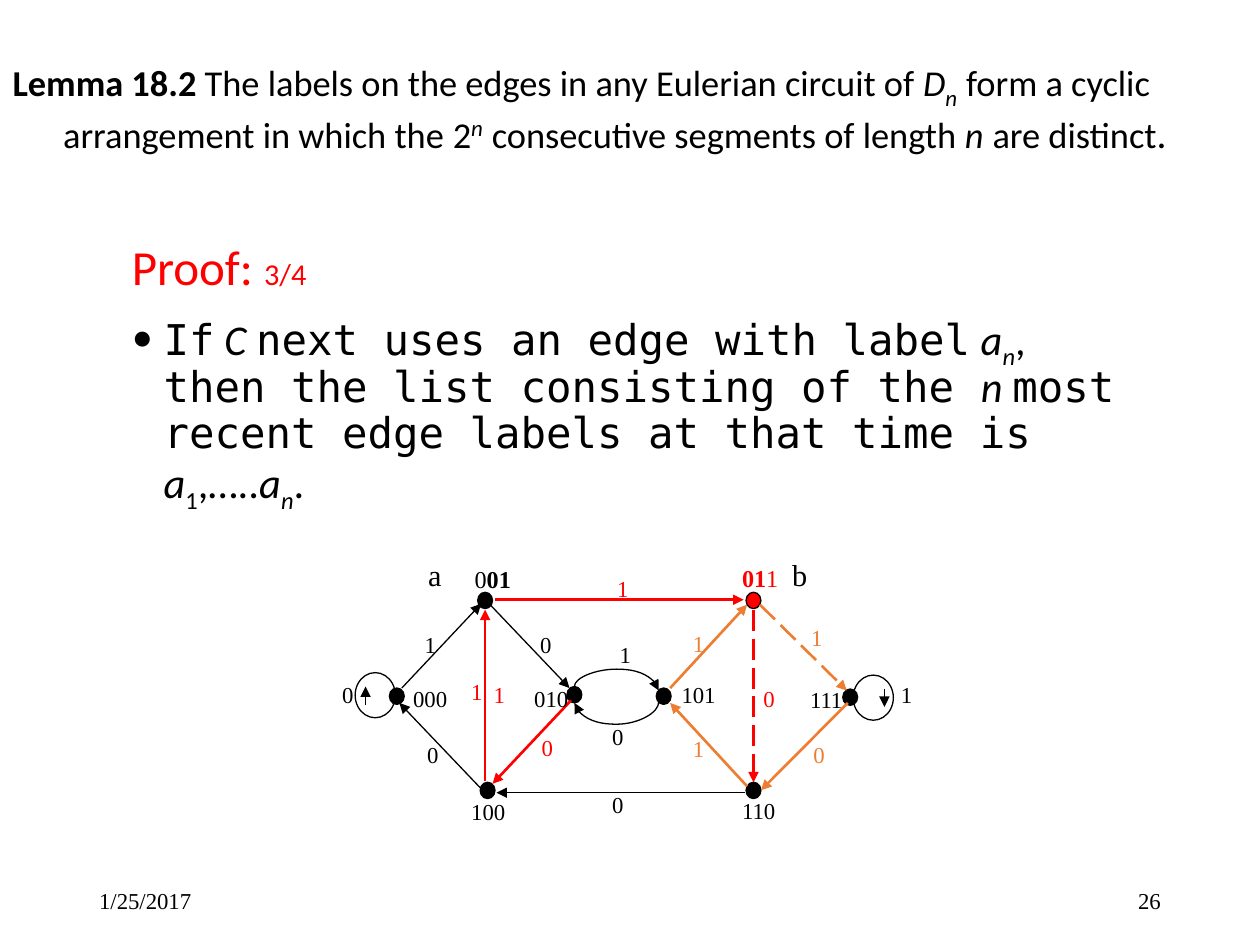
from dataclasses import dataclass

from lxml.etree import SubElement
from pptx import Presentation
from pptx.dml.color import RGBColor
from pptx.enum.dml import MSO_LINE
from pptx.enum.shapes import MSO_CONNECTOR as Conn, MSO_SHAPE as Geo
from pptx.enum.text import MSO_ANCHOR as Anchor, MSO_AUTO_SIZE as AutoSize, PP_ALIGN as Align
from pptx.oxml.ns import qn
from pptx.util import Cm, Pt


@dataclass(frozen=True)
class Theme:
    black: str = "000000"
    red: str = "FF0000"
    orange: str = "ED7D31"
    sans: str = "Calibri"
    mono: str = "DejaVu Sans Mono"
    serif: str = "Times New Roman"
    title: float = 20.8
    gap: float = 22.5
    title_end: float = 25.1
    heading: float = 28
    body: float = 24.2
    note: float = 17.3
    name: float = 13.8
    label: float = 13
    thin: float = 0.75
    thick: float = 1.5


T = Theme()


def add_run(p, text, font=T.serif, size=T.label, color=T.black,
            bold=False, italic=False, base=0):
    r = p.add_run()
    r.text = text
    f = r.font
    f.name, f.size, f.bold, f.italic = font, Pt(size), bold, italic
    f.color.rgb = RGBColor.from_string(color)
    if base:
        f._element.set("baseline", str(base * 1000))


def set_indent(p, indent, bullet=None):
    pPr = p._p.get_or_add_pPr()
    pPr.set("marL", str(Cm(indent)))
    pPr.set("indent", str(-Cm(indent)))
    if bullet:
        SubElement(pPr, qn("a:buFont")).set("typeface", T.sans)
        SubElement(pPr, qn("a:buChar")).set("char", bullet)
    else:
        SubElement(pPr, qn("a:buNone"))


class SlideBuilder:
    def __init__(self, slide, theme):
        self.slide, self.theme = slide, theme
        self.shapes = slide.shapes

    def title(self, x, y, w, h, runs):
        sp = self.shapes.title
        sp.left, sp.top, sp.width, sp.height = Cm(x), Cm(y), Cm(w), Cm(h)
        tf = sp.text_frame
        tf.auto_size, tf.vertical_anchor = AutoSize.NONE, Anchor.MIDDLE
        p = tf.paragraphs[0]
        set_indent(p, 1.02)
        p.alignment, p.line_spacing = Align.LEFT, 0.95
        for text, style in runs:
            add_run(p, text, **style)

    def frame(self, x, y, w, h, anchor=Anchor.TOP):
        tf = self.shapes.add_textbox(Cm(x), Cm(y), Cm(w), Cm(h)).text_frame
        tf.word_wrap, tf.vertical_anchor = True, anchor
        return tf

    def label(self, text, x, y, w=0.58, h=0.81, anchor=Anchor.TOP,
              align=Align.LEFT, **style):
        p = self.frame(x, y, w, h, anchor).paragraphs[0]
        p.alignment = align
        add_run(p, text, **style)
        return p

    def oval(self, x, y, w, h, fill=None):
        sp = self.shapes.add_shape(Geo.OVAL, Cm(x), Cm(y), Cm(w), Cm(h))
        sp.shadow.inherit = False
        if fill:
            sp.fill.solid()
            sp.fill.fore_color.rgb = RGBColor.from_string(fill)
        else:
            sp.fill.background()
        sp.line.color.rgb = RGBColor.from_string(self.theme.black)
        sp.line.width = Pt(self.theme.thin)

    def arrow(self, start, end, color=T.black, dashed=False, kind=Conn.STRAIGHT):
        cx = self.shapes.add_connector(kind, *map(Cm, start + end))
        line = cx.line
        line.color.rgb = RGBColor.from_string(color)
        line.width = Pt(self.theme.thin if color == self.theme.black else self.theme.thick)
        if dashed:
            line.dash_style = MSO_LINE.LONG_DASH
        SubElement(line._get_or_add_ln(), qn("a:tailEnd")).set("type", "triangle")
        SubElement(cx._element.spPr, qn("a:effectLst"))
        return cx

    def arc(self, start, end, bend_y):
        """Curved arrow that leaves and arrives vertically, turning at bend_y."""
        (x1, y1), (x2, y2) = start, end
        w, h = y2 - y1, abs(x2 - x1)
        left, top = (x1 + x2 - w) / 2, (y1 + y2 - h) / 2
        cx = self.arrow((left, top), (left + w, top + h), kind=Conn.CURVE)
        spPr = cx._element.spPr
        xfrm = spPr.find(qn("a:xfrm"))
        xfrm.set("rot", "5400000")
        if x1 < x2:
            xfrm.set("flipV", "1")
        geom = spPr.find(qn("a:prstGeom"))
        guides = geom.find(qn("a:avLst"))
        if guides is None:
            guides = SubElement(geom, qn("a:avLst"))
        gd = SubElement(guides, qn("a:gd"))
        gd.set("name", "adj1")
        gd.set("fmla", f"val {round((bend_y - y1) / w * 100000)}")


def main():
    prs = Presentation()
    prs.slide_width, prs.slide_height = Cm(25.4), Cm(19.05)
    s = SlideBuilder(prs.slides.add_slide(prs.slide_layouts[5]), T)

    # Lemma
    plain = dict(font=T.sans, size=T.title)
    gap = dict(font=T.sans, size=T.gap)
    var = dict(plain, italic=True)
    s.title(0, 0, 25.4, 4.34, [
        ("Lemma 18.2", dict(plain, bold=True)),
        (" The labels on the edges in any Eulerian circuit of", plain), (" ", gap),
        ("D", var), ("n", dict(gap, italic=True, base=-25)), (" ", gap),
        ("form a cyclic arrangement in which the", plain), (" ", gap),
        ("2", plain), ("n", dict(gap, italic=True, base=30)), (" ", gap),
        ("consecutive segments of length", plain), (" ", gap), ("n", var), (" ", gap),
        ("are distinct", plain), (".", gap), (" ", dict(plain, size=T.title_end))])

    # Proof
    mono = dict(font=T.mono, size=T.body)
    text = dict(font=T.sans, size=T.body)
    var = dict(text, italic=True)
    sub = dict(var, base=-25)
    proof = [
        (None, [("Proof: ", dict(font=T.sans, size=T.heading, color=T.red)),
                ("3/4", dict(font=T.sans, size=T.note, color=T.red))]),
        ("•", [("If", mono), (" C ", var), ("next uses an edge with label", mono),
               (" a", var), ("n", sub), (", ", text),
               ("then the list consisting of the ", mono), ("n ", var),
               ("most recent edge labels at that time is ", mono),
               ("a", var), ("1", dict(text, base=-25)), (",…..", text),
               ("a", var), ("n", sub), (".", text)])]
    tf = s.frame(2.41, 4.78, 20.57, 5.99)
    for i, (bullet, runs) in enumerate(proof):
        p = tf.add_paragraph() if i else tf.paragraphs[0]
        set_indent(p, 0.64, bullet)
        p.line_spacing = 0.9
        if i:
            p.space_before = Pt(10)
        for words, style in runs:
            add_run(p, words, **style)

    # Graph nodes
    for x, y, fill in [(9.63, 11.94, T.black), (15.04, 11.94, T.red),
                       (7.85, 13.87, T.black), (11.43, 13.84, T.black),
                       (13.23, 13.87, T.black), (16.99, 13.89, T.black),
                       (9.68, 15.77, T.black), (15.04, 15.77, T.black)]:
        s.oval(x, y, 0.3, 0.33, fill)

    # Edges, each drawn towards its arrowhead
    edges = {
        T.black: [((15.01, 15.98), (10.01, 15.98)), ((9.88, 12.19), (11.48, 13.87)),
                  ((8.1, 13.87), (9.7, 12.17)), ((9.68, 15.88), (8.05, 14.17))],
        T.red: [((9.98, 12.09), (14.99, 12.09)), ((9.78, 15.75), (9.78, 12.29)),
                ((11.51, 14.12), (9.93, 15.8))],
        T.orange: [((13.51, 13.87), (15.06, 12.19)), ((15.06, 15.85), (13.51, 14.17)),
                   ((17.09, 14.17), (15.34, 15.93))]}
    for color, ends in edges.items():
        for start, end in ends:
            s.arrow(start, end, color)
    s.arrow((15.19, 12.29), (15.19, 15.77), T.red, dashed=True)
    s.arrow((15.32, 12.19), (17.07, 13.92), T.orange, dashed=True)
    s.arc((11.58, 13.84), (13.28, 13.92), 13.49)
    s.arc((13.28, 14.15), (11.58, 14.17), 14.6)

    # Self-loops
    for x, y, start, end in [(7.16, 13.56, (7.37, 14.22), (7.37, 13.84)),
                             (17.2, 13.61, (17.83, 13.89), (17.83, 14.25))]:
        s.oval(x, y, 0.81, 0.91)
        s.arrow(start, end)

    # Edge labels
    labels = {
        ("0", T.black): [(6.65, 13.59), (8.36, 14.81), (10.64, 12.6),
                         (12.09, 15.82), (12.09, 14.45)],
        ("0", T.red): [(15.14, 13.67), (10.67, 14.66)],
        ("0", T.orange): [(16.15, 14.81)],
        ("1", T.black): [(8.31, 12.6), (12.24, 12.8), (17.91, 13.59)],
        ("1", T.red): [(9.7, 13.59), (9.25, 13.54), (12.19, 11.46)],
        ("1", T.orange): [(13.72, 12.57), (16.1, 12.45), (13.72, 14.68)]}
    for (digit, color), places in labels.items():
        for x, y in places:
            s.label(digit, x, y, color=color)

    # Node names, in boxes with room for three digits on one line
    name_w = 1.35
    for name, x, y in [("000", 8.08, 13.67), ("100", 9.25, 15.95), ("010", 10.52, 13.67),
                       ("101", 13.49, 13.59), ("110", 14.71, 15.93), ("111", 16.08, 13.69)]:
        s.label(name, x, y, w=name_w)
    p = s.label("0", 9.32, 11.25, w=name_w, h=0.84, size=T.name)
    add_run(p, "01", size=T.name, bold=True)
    p = s.label("01", 14.71, 11.23, w=name_w, h=0.84, size=T.name, color=T.red, bold=True)
    add_run(p, "1", size=T.name, color=T.red)
    for letter, x in [("a", 8.38), ("b", 15.72)]:
        s.label(letter, x, 11.08, w=0.81, h=0.99, size=T.note)

    # Date and slide number
    s.label("1/25/2017", 1.75, 17.65, w=5.72, h=1.02, anchor=Anchor.MIDDLE)
    s.label("26", 17.93, 17.65, w=5.72, h=1.02, anchor=Anchor.MIDDLE, align=Align.RIGHT)

    prs.save("out.pptx")


if __name__ == "__main__":
    main()
